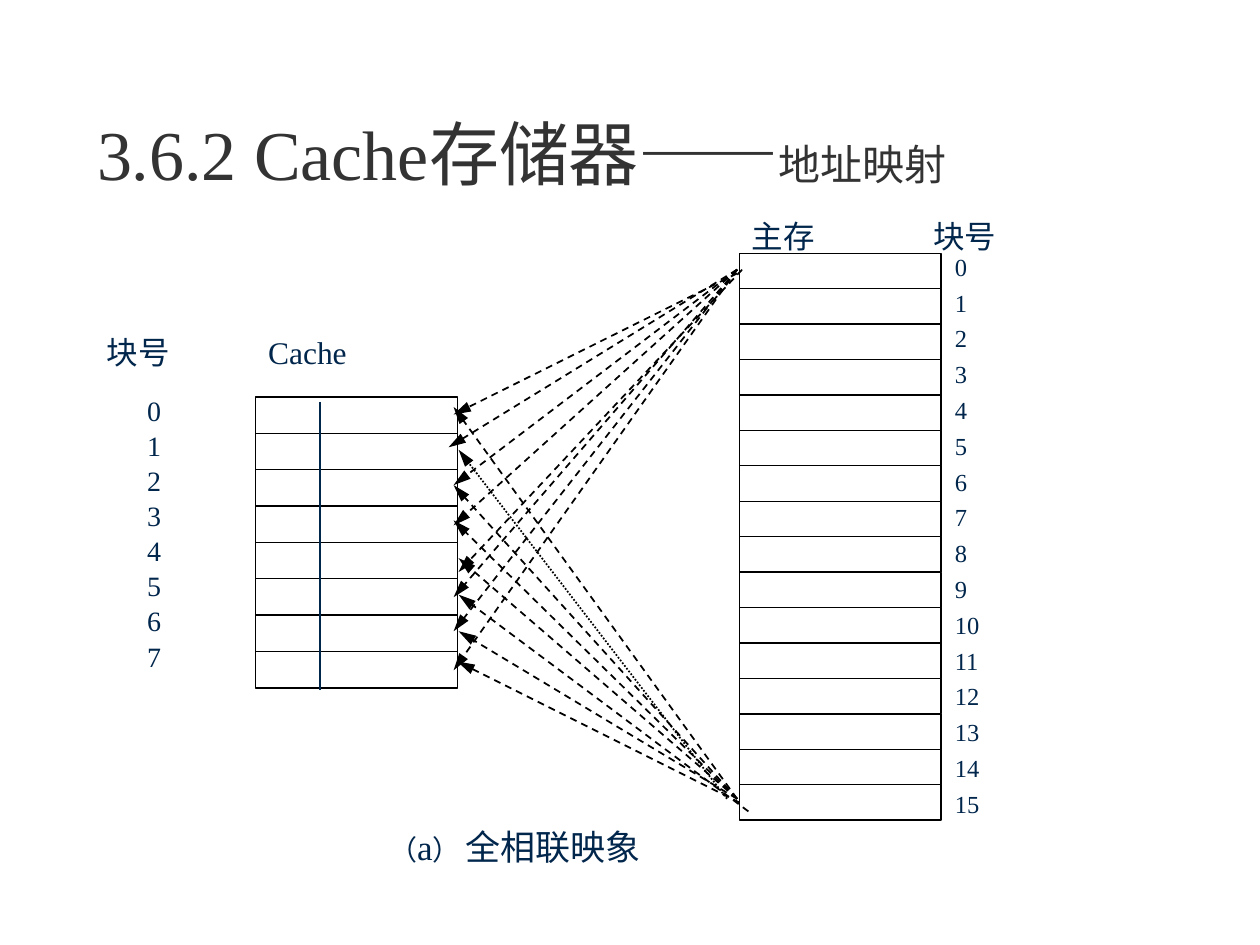
from dataclasses import dataclass

from lxml import etree
from pptx import Presentation, util as u
from pptx.dml.color import RGBColor
from pptx.enum import dml, shapes, text
from pptx.oxml.ns import qn


@dataclass(frozen=True)
class Theme:
    """Colours, type sizes and line widths of the slide."""
    font: str = "Times New Roman"
    title: str = "333333"
    ink: str = "00264C"
    line: str = "000000"
    title_size: int = 40
    subtitle_size: int = 24
    caption_size: int = 20
    head_size: int = 18
    cache_size: int = 16
    memory_size: int = 14
    gap_size: int = 12
    thin: float = 0.75
    arrow: float = 1


T = Theme()
COLS, ROWS = 100, 75
CACHE = (20.3, 31.5, 16, 23.1)
MEMORY = (58.7, 20.1, 16, 45)
FROM_FIRST = [
    (58.5, 21.7, 36, 32.9), (58.5, 21.4, 35.6, 35.5),
    (58.5, 21.4, 36, 38.5), (58.5, 21.4, 36, 41.7),
    (58.9, 21.4, 36.4, 45.4), (58.5, 21.4, 36, 47.4),
    (58.5, 21.4, 36, 50.1), (58.5, 21.4, 36, 53.2),
]
FROM_LAST = [
    (58.7, 63.7, 36.3, 52.5), (58.5, 63.4, 36.4, 50.1),
    (59.4, 64.4, 36.4, 47.2), (58.5, 63.4, 36.4, 44.3),
    (58.5, 63.4, 36, 41.3), (58.5, 63.4, 36, 38.5),
    (57.7, 63.4, 36.4, 35.7), (58.5, 63.4, 36, 32.3),
]
DOTTED = (57.7, 63.4, 36.4, 35.7)


def grid(*cells):
    """Turn alternating columns and rows of the slide grid into lengths."""
    units = (u.Inches(10) / COLS, u.Inches(7.5) / ROWS)
    return [round(c * units[i % 2]) for i, c in enumerate(cells)]


def add_run(p, words, size, color=T.ink):
    """Add one formatted run to a paragraph."""
    r = p.add_run()
    r.text = words
    r.font.name = T.font
    r.font.size = u.Pt(size)
    r.font.color.rgb = RGBColor.from_string(color)


def add_label(s, box, *runs):
    """Add a text box holding (words, size) runs on one line."""
    tf = s.shapes.add_textbox(*grid(*box)).text_frame
    tf.word_wrap = True
    for words, size in runs:
        add_run(tf.paragraphs[0], words, size)


def add_line(s, ends, width, color=T.line, dash=None, arrow=False):
    """Add a straight line, dashed or with an arrowhead on request."""
    sp = s.shapes.add_connector(shapes.MSO_CONNECTOR.STRAIGHT, *grid(*ends))
    sp.line.width = u.Pt(width)
    sp.line.color.rgb = RGBColor.from_string(color)
    if dash:
        sp.line.dash_style = dash
    if arrow:
        etree.SubElement(sp.line._get_or_add_ln(), qn("a:tailEnd"),
                         type="triangle", w="med", len="lg")
    etree.SubElement(sp._element.spPr, qn("a:effectLst"))


def add_title(s, box):
    """Place the title placeholder and fill in its two sizes of text."""
    sp = s.shapes.title
    sp.left, sp.top, sp.width, sp.height = grid(*box)
    tf = sp.text_frame
    tf.word_wrap = True
    tf.auto_size = text.MSO_AUTO_SIZE.NONE
    tf.vertical_anchor = text.MSO_ANCHOR.BOTTOM
    p = tf.paragraphs[0]
    p.alignment = text.PP_ALIGN.LEFT
    add_run(p, "3.6.2 Cache存储器——", T.title_size, T.title)
    add_run(p, "地址映射", T.subtitle_size, T.title)


def add_blocks(s, box, count):
    """Stack equal empty blocks in a box."""
    x, y, w, h = box
    step = h / count
    for i in range(count):
        sp = s.shapes.add_shape(shapes.MSO_SHAPE.RECTANGLE,
                                *grid(x, y + i * step, w, step))
        sp.shadow.inherit = False
        sp.fill.background()
        sp.line.width = u.Pt(T.thin)
        sp.line.color.rgb = RGBColor.from_string(T.line)


def add_numbers(s, box, count, step, size):
    """Number the blocks downwards from the first label's box."""
    x, y, w, h = box
    for i in range(count):
        add_label(s, (x, y + i * step, w, h), (str(i), size))


def add_cache(s, box):
    """Draw the cache with its tag divider, numbers and headings."""
    x, y, w, h = box
    add_blocks(s, box, 8)
    add_numbers(s, (x - 9.6, y - 0.8, 9.6, 4.1), 8, 2.79, T.cache_size)
    add_label(s, (x - 12.8, y - 5.6, w, 4.2), ("块号", T.head_size))
    add_label(s, (x, y - 5.6, w, 4.2), ("Cache", T.head_size))
    add_line(s, (x + 5.1, y + 0.4, x + 5.1, y + h + 0.2), T.thin, T.ink)


def add_memory(s, box):
    """Draw the main memory with its numbers and headings."""
    x, y, w, h = box
    add_blocks(s, box, 16)
    add_numbers(s, (x + w + 0.1, y - 0.6, 9.6, 4.2), 16, 2.84, T.memory_size)
    add_label(s, (x, y - 3.4, w, 4.2), ("主存", T.head_size))
    add_label(s, (x + 14.4, y - 3.4, w, 4.2), ("块号", T.head_size))


def add_mappings(s):
    """Draw the arrows from the first and last memory blocks to the cache."""
    style = dml.MSO_LINE
    for ends in FROM_FIRST + FROM_LAST:
        dash = style.ROUND_DOT if ends == DOTTED else style.DASH
        add_line(s, ends, T.arrow, dash=dash, arrow=True)


def main():
    """Build and save the slide."""
    prs = Presentation()
    prs.slide_width, prs.slide_height = grid(COLS, ROWS)
    s = prs.slides.add_slide(prs.slide_layouts[5])
    add_title(s, (6.7, 6.7, 73.1, 9.2))
    add_label(s, (29.9, 65, 41.6, 4.2), ("（", T.cache_size),
              ("a", T.caption_size), ("）", T.cache_size),
              (" ", T.gap_size), ("全相联映象", T.caption_size))
    add_cache(s, CACHE)
    add_memory(s, MEMORY)
    add_mappings(s)
    prs.save("out.pptx")


if __name__ == "__main__":
    main()
